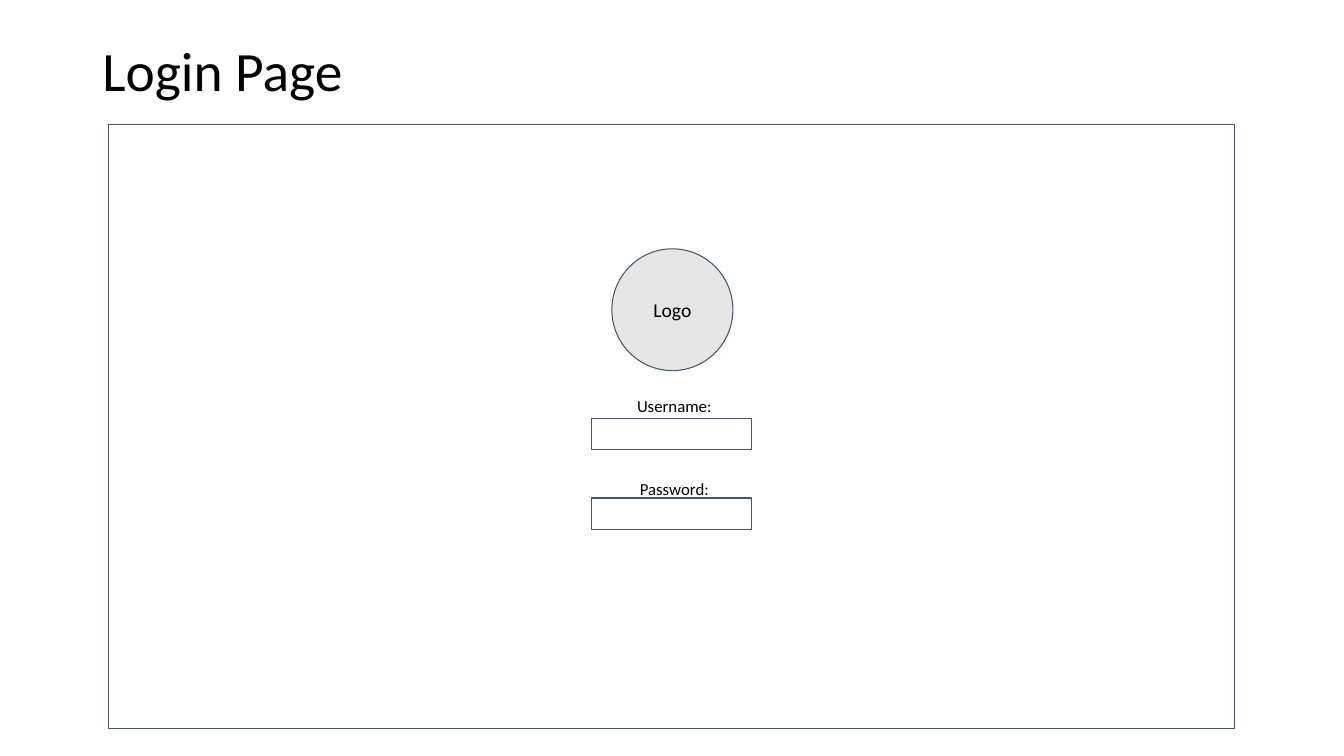
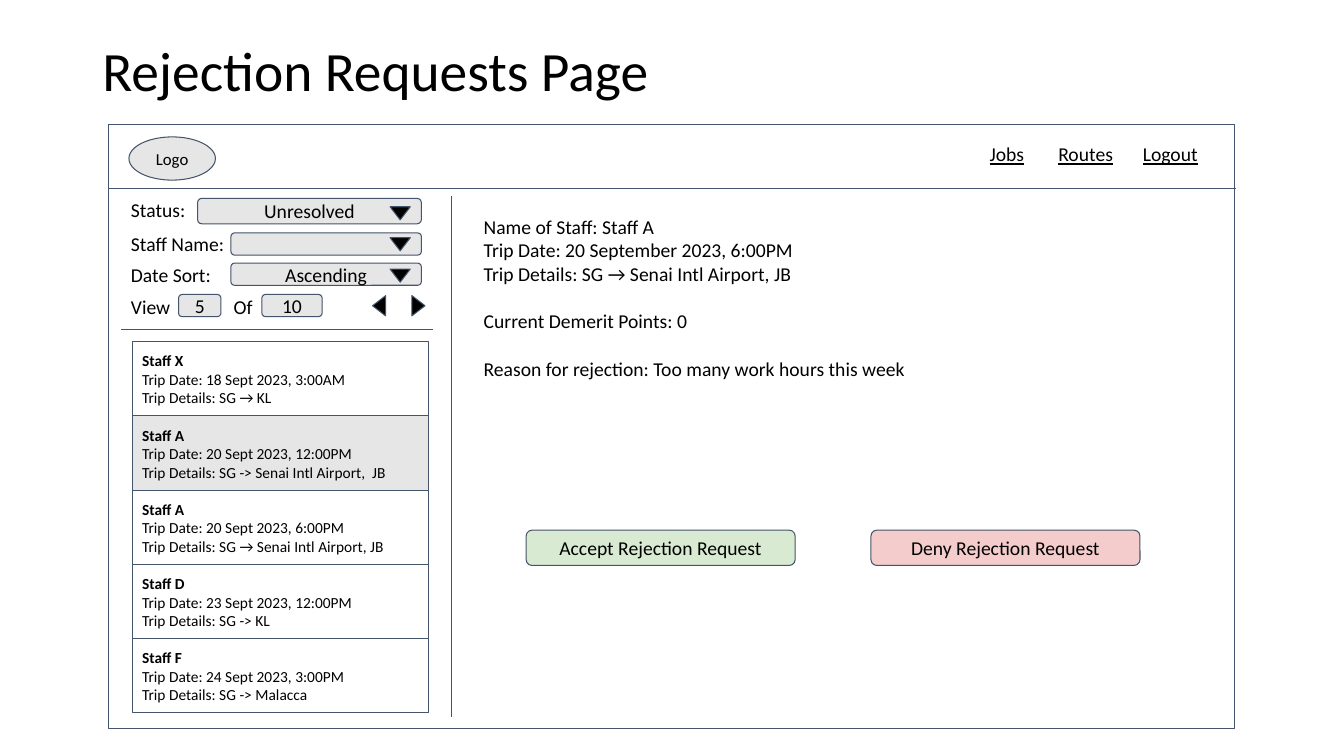
"""Build two wireframe slides: a login page and a rejection requests page."""
from lxml import etree
from pptx import Presentation
from pptx.dml.color import RGBColor
from pptx.enum.shapes import MSO_CONNECTOR, MSO_SHAPE
from pptx.enum.text import MSO_ANCHOR, PP_ALIGN
from pptx.oxml.ns import qn
from pptx.util import Cm, Pt

RECTANGLE, ROUNDED = MSO_SHAPE.RECTANGLE, MSO_SHAPE.ROUNDED_RECTANGLE
OVAL, TRIANGLE = MSO_SHAPE.OVAL, MSO_SHAPE.ISOSCELES_TRIANGLE
STRAIGHT = MSO_CONNECTOR.STRAIGHT
TOP, MIDDLE = MSO_ANCHOR.TOP, MSO_ANCHOR.MIDDLE
LEFT, CENTER = PP_ALIGN.LEFT, PP_ALIGN.CENTER

COLORS = {
    "ink": "000000",
    "outline": "44546A",
    "grey": "E7E6E6",
    "white": "FFFFFF",
    "green": "D9EAD3",
    "red": "F4CCCC",
}
FONT = {"name": "Calibri", "size": Pt(14)}
INSET = Cm(0.25)
FRAME = {
    "word_wrap": True,
    "vertical_anchor": MIDDLE,
    "margin_left": INSET,
    "margin_right": INSET,
    "margin_top": INSET,
    "margin_bottom": INSET,
}
TOP_FRAME = {"vertical_anchor": TOP}
TITLE_FRAME = {"margin_top": Cm(0.13), "margin_bottom": Cm(0.13)}
LABEL_FRAME = {"vertical_anchor": TOP, "margin_top": 0, "margin_bottom": 0}


def add_box(page, kind, place, lines=(), fill=None, align=CENTER, frame={}, font={}):
    lengths = [Cm(value) for value in place]
    if kind is None:
        box = page.shapes.add_textbox(*lengths)
    else:
        box = page.shapes.add_shape(kind, *lengths)
        box.shadow.inherit = False
        box.line.color.rgb = RGBColor.from_string(COLORS["outline"])
        box.line.width = Pt(0.75)
        if fill:
            box.fill.solid()
            box.fill.fore_color.rgb = RGBColor.from_string(COLORS[fill])
        else:
            box.fill.background()
    for name, value in {**FRAME, **frame}.items():
        setattr(box.text_frame, name, value)
    for index, line in enumerate(lines):
        para = box.text_frame.add_paragraph() if index else box.text_frame.paragraphs[0]
        para.alignment = align
        span = para.add_run()
        span.text = line
        span.font.color.rgb = RGBColor.from_string(COLORS["ink"])
        for name, value in {**FONT, **font}.items():
            setattr(span.font, name, value)
    return box


deck = Presentation()
deck.slide_width, deck.slide_height = Cm(33.87), Cm(19.05)

pages = []
for title in ("Login Page", "Rejection Requests Page"):
    page = deck.slides.add_slide(deck.slide_layouts[6])
    box = add_box(page, None, (2.33, 1.02, 29.21, 1.65), [title], align=LEFT,
                  frame=TITLE_FRAME, font={"size": Pt(39.6)})
    box.text_frame.paragraphs[0].line_spacing = 0.9
    add_box(page, RECTANGLE, (2.74, 3.15, 28.37, 15.21))
    pages.append(page)
login, requests = pages

add_box(login, OVAL, (15.42, 6.27, 3.05, 3.07), ["Logo"], "grey")
for label, label_top, field_top in (("Username:", 9.96, 10.54), ("Password:", 12.07, 12.55)):
    add_box(login, RECTANGLE, (14.91, field_top, 4.04, 0.79))
    add_box(login, None, (15.47, label_top, 3.05, 0.51), [label], font={"size": Pt(12)})

add_box(requests, OVAL, (3.25, 3.45, 2.18, 1.09), ["Logo"], "grey", font={"size": Pt(12)})
for link, left, width in (("Jobs", 24.69, 1.52), ("Routes", 26.42, 2.11), ("Logout", 28.55, 2.11)):
    add_box(requests, None, (left, 3.33, width, 1.12), [link], align=LEFT,
            frame=TOP_FRAME, font={"underline": True})

for ends in ((2.74, 4.75, 31.14, 4.75), (3.05, 8.31, 10.9, 8.31), (11.38, 4.95, 11.38, 18.08)):
    divider = requests.shapes.add_connector(STRAIGHT, *[Cm(value) for value in ends])
    divider.line.color.rgb = RGBColor.from_string(COLORS["outline"])
    divider.line.width = Pt(0.75)
    etree.SubElement(divider._element.spPr, qn("a:effectLst"))

for label, left, top in (
    ("Status:", 3.05, 4.98),
    ("Staff Name:", 3.05, 5.84),
    ("Date Sort:", 3.05, 6.63),
    ("View", 3.05, 7.42),
    ("Of", 5.64, 7.42),
):
    add_box(requests, None, (left, top, 3.28, 0.56), [label], align=LEFT, frame=LABEL_FRAME)

for place, lines, fill in (
    ((4.98, 5, 5.64, 0.64), ["Unresolved"], "grey"),
    ((5.82, 5.87, 4.8, 0.56), [], "grey"),
    ((5.82, 6.63, 4.8, 0.56), ["Ascending"], "grey"),
    ((4.5, 7.42, 1.07, 0.56), ["5"], "grey"),
    ((6.6, 7.42, 1.52, 0.56), ["10"], "grey"),
    ((13.26, 13.36, 6.78, 0.89), ["Accept Rejection Request"], "green"),
    ((21.95, 13.36, 6.78, 0.89), ["Deny Rejection Request"], "red"),
):
    add_box(requests, ROUNDED, place, lines, fill)

for left, top, rotation in (
    (9.83, 5.21, 180),
    (9.83, 5.99, 180),
    (9.83, 6.78, 180),
    (9.3, 7.54, 270),
    (10.29, 7.54, 90),
):
    add_box(requests, TRIANGLE, (left, top, 0.51, 0.33), fill="ink").rotation = rotation

CARD_TOP, CARD_HEIGHT = 8.61, 1.87
for row, (staff, date, route, fill) in enumerate((
    ("Staff X", "18 Sept 2023, 3:00AM", "SG → KL", "white"),
    ("Staff A", "20 Sept 2023, 12:00PM", "SG -> Senai Intl Airport,  JB", "grey"),
    ("Staff A", "20 Sept 2023, 6:00PM", "SG → Senai Intl Airport, JB", "white"),
    ("Staff D", "23 Sept 2023, 12:00PM", "SG -> KL", "white"),
    ("Staff F", "24 Sept 2023, 3:00PM", "SG -> Malacca", "white"),
)):
    card = add_box(requests, RECTANGLE, (3.33, CARD_TOP + row * CARD_HEIGHT, 7.47, CARD_HEIGHT),
                   [staff, f"Trip Date: {date}", f"Trip Details: {route}"], fill,
                   align=LEFT, frame=TOP_FRAME, font={"size": Pt(11)})
    card.text_frame.paragraphs[0].runs[0].font.bold = True

details = add_box(requests, None, (11.94, 5.16, 15.32, 4.37), [
    "Name of Staff: Staff A",
    "Trip Date: 20 September 2023, 6:00PM",
    "Trip Details: SG → Senai Intl Airport, JB",
    "Current Demerit Points: 0",
    "Reason for rejection: Too many work hours this week",
], align=LEFT, frame=TOP_FRAME)
for para in details.text_frame.paragraphs[3:]:
    para.space_before = Pt(17)

deck.save("out.pptx")
